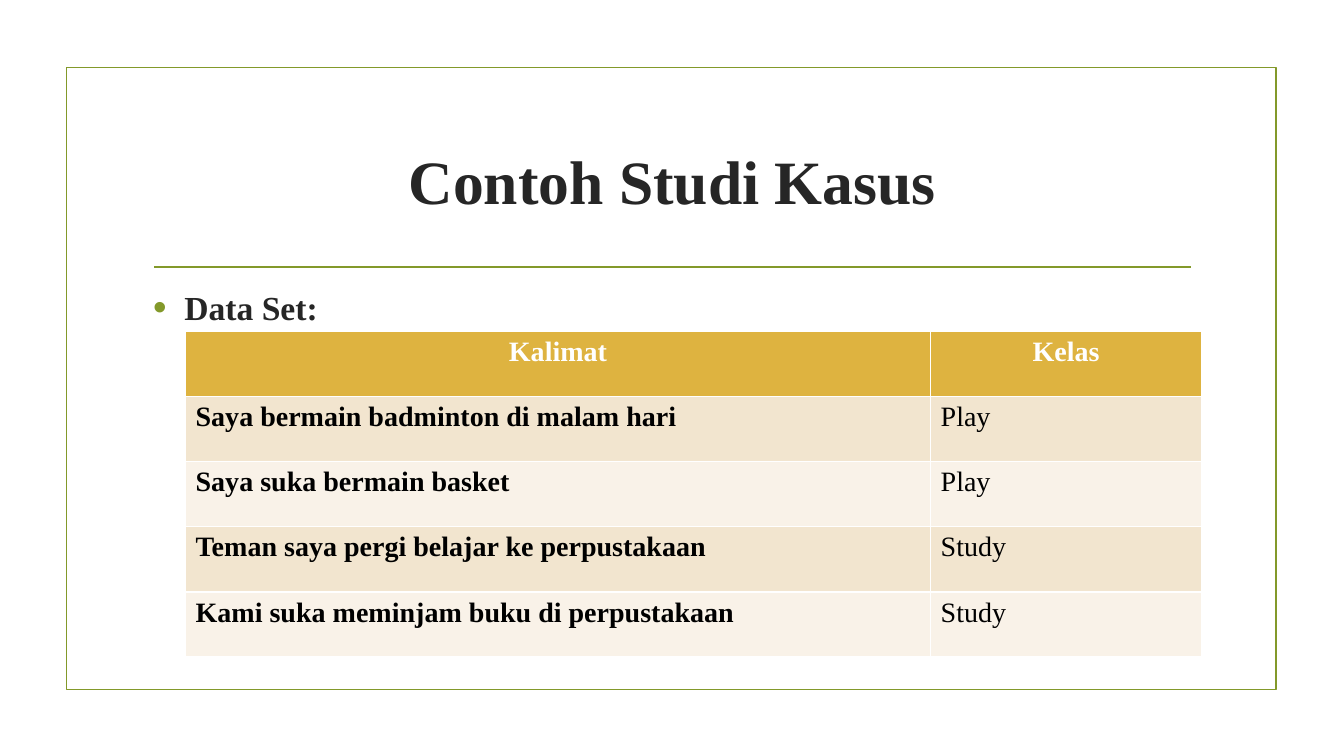
from lxml.etree import SubElement
from pptx import Presentation
from pptx.dml.color import RGBColor
from pptx.enum.shapes import MSO_CONNECTOR as Connector, MSO_SHAPE as Shape
from pptx.enum.text import MSO_ANCHOR as Anchor, PP_ALIGN as Align
from pptx.oxml.ns import qn
from pptx.util import Inches, Pt

COLORS = {
    "olive": "83992A", "ink": "262626", "black": "000000", "white": "FFFFFF",
    "header": "DEB340", "odd_row": "F2E5CF", "even_row": "F9F2E8",
}
FONT = "Times New Roman"
ROWS = [
    ("Kalimat", "Kelas"),
    ("Saya bermain badminton di malam hari", "Play"),
    ("Saya suka bermain basket", "Play"),
    ("Teman saya pergi belajar ke perpustakaan", "Study"),
    ("Kami suka meminjam buku di perpustakaan", "Study"),
]


def color(name):
    return RGBColor.from_string(COLORS[name])


def format_runs(paragraph, size, color_name, bold=True):
    for run in paragraph.runs:
        run.font.name = FONT
        run.font.size = Pt(size)
        run.font.bold = bold
        run.font.color.rgb = color(color_name)


def add_frame(slide, left, top, width, height):
    # Border around the slide
    frame = slide.shapes.add_shape(
        Shape.RECTANGLE, Inches(left), Inches(top), Inches(width), Inches(height))
    frame.shadow.inherit = False
    frame.fill.background()
    frame.line.color.rgb = color("olive")
    frame.line.width = Pt(1.25)

    # Rule between title and content
    rule_y = Inches(top + 1.98)
    rule = slide.shapes.add_connector(
        Connector.STRAIGHT, Inches(left + 0.87), rule_y,
        Inches(left + width - 0.85), rule_y)
    rule.line.color.rgb = color("olive")
    rule.line.width = Pt(1.25)
    SubElement(rule._element.spPr, qn("a:effectLst"))


def place_title(slide, left, top, width, height):
    title = slide.shapes.title
    title.left, title.top = Inches(left), Inches(top)
    title.width, title.height = Inches(width), Inches(height)
    title.text_frame.text = "Contoh Studi Kasus"
    title.text_frame.vertical_anchor = Anchor.MIDDLE
    paragraph = title.text_frame.paragraphs[0]
    paragraph.alignment = Align.CENTER
    format_runs(paragraph, 44, "ink")


def add_bullet(slide, left, top, width, height):
    box = slide.shapes.add_textbox(
        Inches(left), Inches(top), Inches(width), Inches(height))
    box.text_frame.word_wrap = True
    box.text_frame.text = "Data Set:"
    paragraph = box.text_frame.paragraphs[0]
    paragraph.space_before = Pt(5)
    paragraph.space_after = Pt(6)
    format_runs(paragraph, 24, "ink")

    # Hanging olive bullet
    properties = paragraph._p.get_or_add_pPr()
    properties.set("marL", str(Inches(0.31)))
    properties.set("indent", str(-Inches(0.31)))
    bullet_color = SubElement(properties, qn("a:buClr"))
    SubElement(bullet_color, qn("a:srgbClr"), val=COLORS["olive"])
    SubElement(properties, qn("a:buSzPct"), val="115000")
    SubElement(properties, qn("a:buFont"), typeface="Arial")
    SubElement(properties, qn("a:buChar"), char="•")


def add_data_table(slide, left, top, width, height):
    # The default table style supplies the white cell borders
    table = slide.shapes.add_table(
        len(ROWS), 2, Inches(left), Inches(top), Inches(width), Inches(height)).table
    class_width = 2.69
    table.columns[0].width = Inches(width - class_width)
    table.columns[1].width = Inches(class_width)

    for row_index, texts in enumerate(ROWS):
        is_header = row_index == 0
        fill = "header" if is_header else "odd_row" if row_index % 2 else "even_row"
        for column_index, text in enumerate(texts):
            cell = table.cell(row_index, column_index)
            cell.fill.solid()
            cell.fill.fore_color.rgb = color(fill)
            cell.text_frame.text = text
            paragraph = cell.text_frame.paragraphs[0]
            paragraph.alignment = Align.CENTER if is_header else Align.LEFT
            format_runs(paragraph, 20, "white" if is_header else "black",
                        bold=is_header or column_index == 0)


def main():
    presentation = Presentation()
    presentation.slide_width = Inches(13.33)
    presentation.slide_height = Inches(7.5)
    slide = presentation.slides.add_slide(presentation.slide_layouts[5])
    add_frame(slide, 0.66, 0.67, 12, 6.17)
    place_title(slide, 1.42, 1.07, 10.5, 1.43)
    add_bullet(slide, 1.42, 2.8, 10.5, 0.49)
    add_data_table(slide, 1.84, 3.29, 10.08, 3.23)
    presentation.save("out.pptx")


if __name__ == "__main__":
    main()
